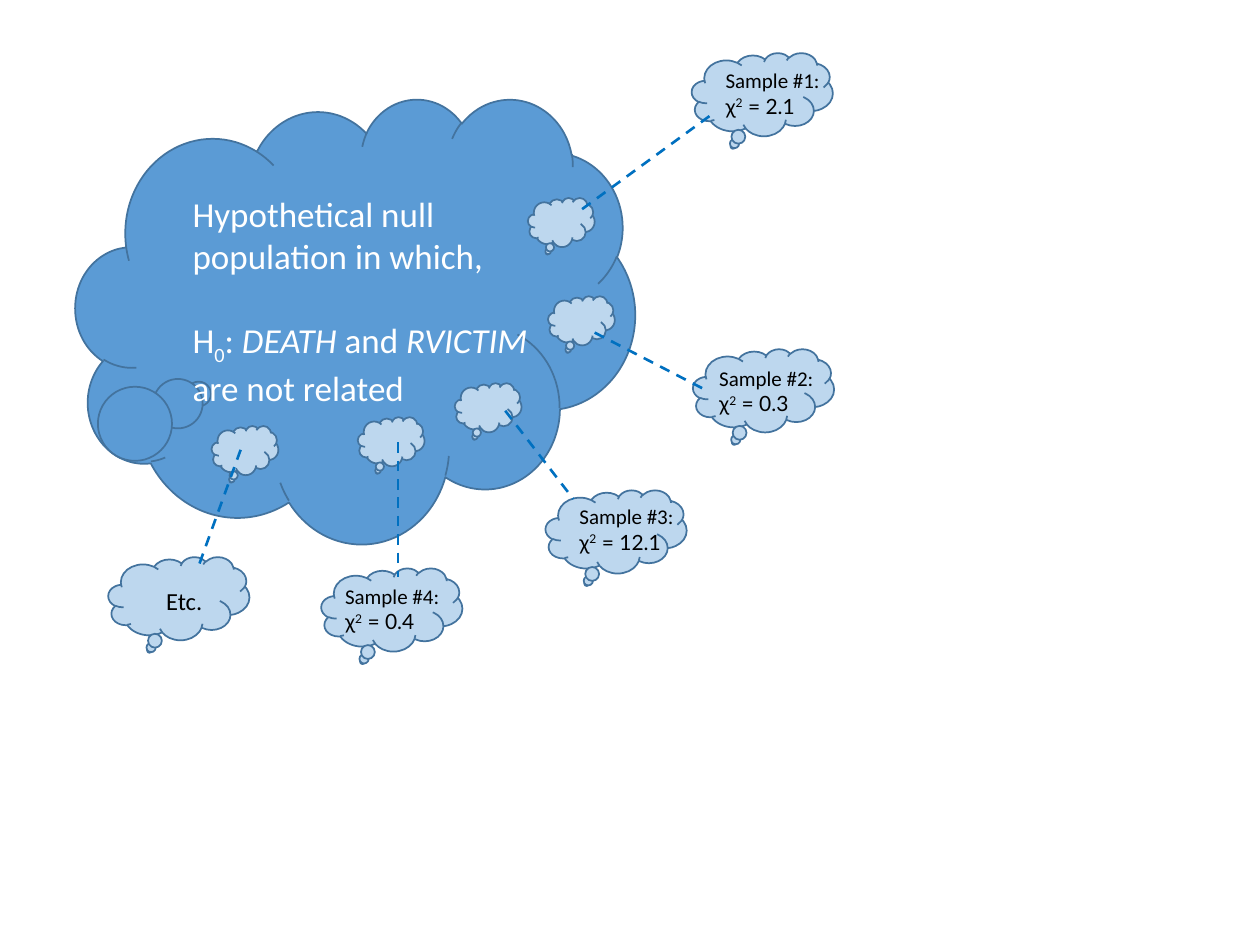
from dataclasses import dataclass

from lxml.etree import SubElement
from pptx import Presentation
from pptx.dml.color import RGBColor
from pptx.enum.dml import MSO_LINE_DASH_STYLE as Dash
from pptx.enum.shapes import MSO_CONNECTOR as Connector
from pptx.enum.shapes import MSO_SHAPE as Shape
from pptx.enum.text import MSO_AUTO_SIZE as AutoSize
from pptx.oxml.ns import qn
from pptx.util import Inches, Pt


@dataclass(frozen=True)
class Theme:
    population: RGBColor = RGBColor(0x5B, 0x9B, 0xD5)
    sample: RGBColor = RGBColor(0xBD, 0xD7, 0xEE)
    outline: RGBColor = RGBColor(0x43, 0x73, 0x9E)
    link: RGBColor = RGBColor(0x00, 0x70, 0xC0)
    light: RGBColor = RGBColor(0xFF, 0xFF, 0xFF)
    dark: RGBColor = RGBColor(0x00, 0x00, 0x00)
    font: str = "Calibri"
    symbol_font: str = "Lato"
    heading: Pt = Pt(20)
    label: Pt = Pt(12)
    etc: Pt = Pt(14)
    outline_width: Pt = Pt(1)
    link_width: Pt = Pt(1.5)


THEME = Theme()
SAMPLE_SIZE = (1.12, 0.66)
SEED_SIZE = (0.53, 0.39)
LABEL_SIZE = (1.05, 0.5)

POPULATION_BOX = (0.6, 0.78, 4.44, 3.53)
HYPOTHESIS_BOX = (1.43, 1.48, 3, 1.78)
ETC_CLOUD = (0.86, 4.42)
ETC_BOX = (1.22, 4.6, 0.59, 0.34)

SAMPLES = [
    (1, "2.1", (5.49, 0.42), (5.66, 0.49)),
    (2, "0.3", (5.5, 2.77), (5.61, 2.85)),
    (3, "12.1", (4.33, 3.89), (4.5, 3.95)),
    (4, "0.4", (2.55, 4.51), (2.64, 4.58)),
]
SEEDS = [(4.19, 1.57), (4.35, 2.35), (3.61, 3.04), (2.84, 3.31), (1.68, 3.38)]
LINKS = [
    (4.62, 1.66, 5.66, 0.9),
    (4.72, 2.64, 5.61, 3.1),
    (4.01, 3.26, 4.55, 3.96),
    (3.16, 3.51, 3.16, 4.58),
    (1.91, 3.57, 1.57, 4.51),
]


def add_cloud(slide, box, color):
    cloud = slide.shapes.add_shape(Shape.CLOUD_CALLOUT, *map(Inches, box))
    cloud.shadow.inherit = False
    cloud.fill.solid()
    cloud.fill.fore_color.rgb = color
    cloud.line.color.rgb = THEME.outline
    cloud.line.width = THEME.outline_width
    return cloud


def add_text_box(slide, box):
    frame = slide.shapes.add_textbox(*map(Inches, box)).text_frame
    frame.word_wrap = True
    frame.auto_size = AutoSize.SHAPE_TO_FIT_TEXT
    return frame


def style_paragraph(paragraph, size, color):
    paragraph.font.name = THEME.font
    paragraph.font.size = size
    paragraph.font.color.rgb = color


def add_run(paragraph, text, font=None, italic=None, baseline=None):
    run = paragraph.add_run()
    run.text = text
    run.font.name = font
    run.font.italic = italic
    if baseline is not None:
        run._r.get_or_add_rPr().set("baseline", str(baseline * 1000))


def add_population(slide, box, text_box):
    cloud = add_cloud(slide, box, THEME.population)
    cloud.adjustments[0] = -0.28
    cloud.adjustments[1] = 0.165

    frame = add_text_box(slide, text_box)
    premise = frame.paragraphs[0]
    style_paragraph(premise, THEME.heading, THEME.light)
    add_run(premise, "Hypothetical null population in which,")

    hypothesis = frame.add_paragraph()
    style_paragraph(hypothesis, THEME.heading, THEME.light)
    hypothesis.space_before = Pt(24)
    add_run(hypothesis, "H")
    add_run(hypothesis, "0", baseline=-25)
    add_run(hypothesis, ": ")
    add_run(hypothesis, "DEATH ", italic=True)
    add_run(hypothesis, "and ")
    add_run(hypothesis, "RVICTIM ", italic=True)
    add_run(hypothesis, "are not related")


def add_sample_label(slide, box, number, value):
    paragraph = add_text_box(slide, box).paragraphs[0]
    style_paragraph(paragraph, THEME.label, THEME.dark)
    add_run(paragraph, f"Sample #{number}: ")
    add_run(paragraph, "χ", font=THEME.symbol_font)
    add_run(paragraph, "2", font=THEME.symbol_font, baseline=30)
    add_run(paragraph, f" = {value}", font=THEME.symbol_font)


def add_etc(slide, cloud_box, text_box):
    add_cloud(slide, cloud_box, THEME.sample)
    paragraph = add_text_box(slide, text_box).paragraphs[0]
    style_paragraph(paragraph, THEME.etc, THEME.dark)
    add_run(paragraph, "Etc.")


def add_link(slide, ends):
    link = slide.shapes.add_connector(Connector.STRAIGHT, *map(Inches, ends))
    link.line.color.rgb = THEME.link
    link.line.width = THEME.link_width
    link.line.dash_style = Dash.DASH
    SubElement(link._element.spPr, qn("a:effectLst"))


def build_sampling_slide(presentation):
    slide = presentation.slides.add_slide(presentation.slide_layouts[6])
    for _, _, cloud_at, _ in SAMPLES:
        add_cloud(slide, cloud_at + SAMPLE_SIZE, THEME.sample)
    add_population(slide, POPULATION_BOX, HYPOTHESIS_BOX)
    for seed_at in SEEDS:
        add_cloud(slide, seed_at + SEED_SIZE, THEME.sample)
    for number, value, _, label_at in SAMPLES:
        add_sample_label(slide, label_at + LABEL_SIZE, number, value)
    add_etc(slide, ETC_CLOUD + SAMPLE_SIZE, ETC_BOX)
    for ends in LINKS:
        add_link(slide, ends)


def main():
    presentation = Presentation()
    presentation.slide_width = Inches(10)
    presentation.slide_height = Inches(7.5)
    build_sampling_slide(presentation)
    presentation.save("out.pptx")


if __name__ == "__main__":
    main()
